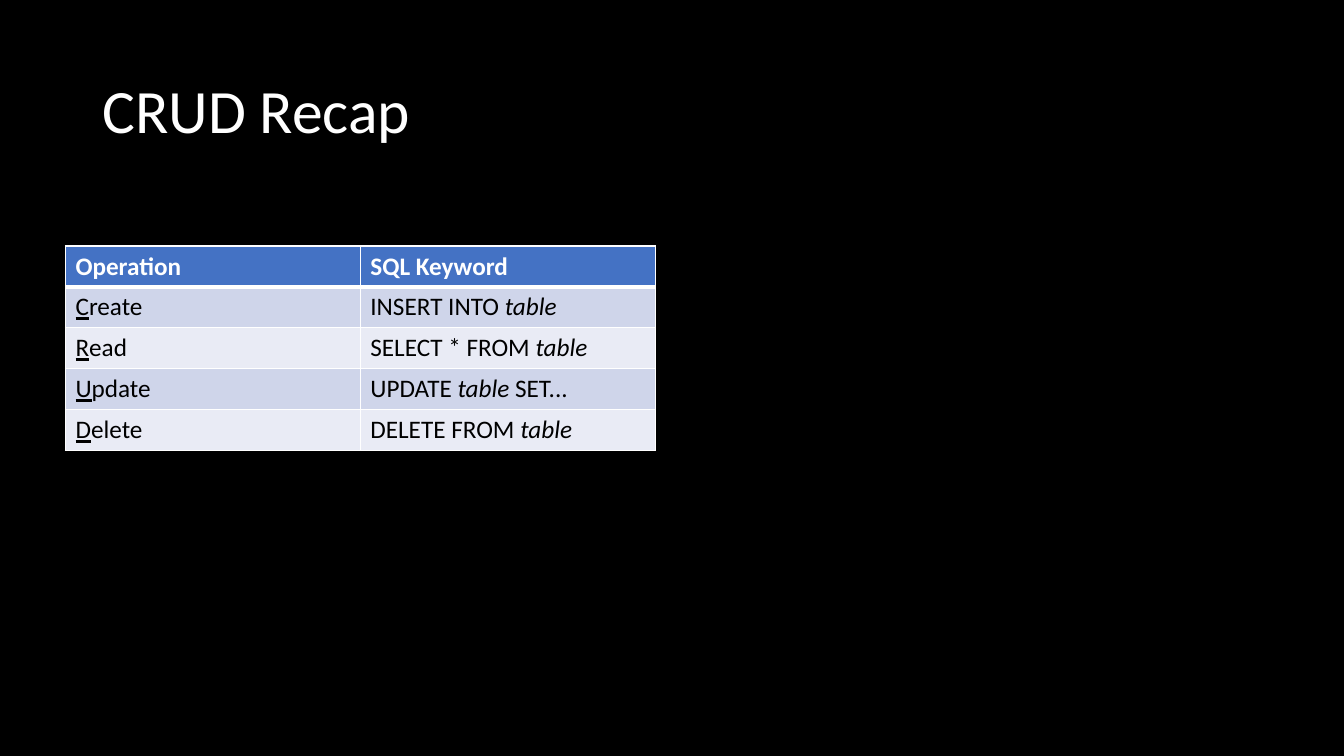
from lxml import etree
from pptx import Presentation
from pptx import util as u
from pptx.dml.color import RGBColor
from pptx.enum import text
from pptx.oxml.ns import qn

COLORS = {
    "background": "000000",
    "light": "FFFFFF",
    "dark": "000000",
    "header": "4472C4",
    "odd_row": "CFD5EA",
    "even_row": "E9EBF5",
}


class RecapSlide:
    font = "Calibri"
    title_size = 44
    table_size = 18

    def __init__(self, deck):
        self.slide = deck.slides.add_slide(deck.slide_layouts[6])
        background = self.slide.background.fill
        background.solid()
        background.fore_color.rgb = self.color("background")

    def color(self, name):
        return RGBColor.from_string(COLORS[name])

    def run(self, paragraph, words, size, color, bold=False, italic=None, underline=None):
        run = paragraph.add_run()
        run.text = words
        font = run.font
        font.name, font.size, font.bold = self.font, u.Pt(size), bold
        font.italic, font.underline = italic, underline
        font.color.rgb = self.color(color)

    def title(self, words, left, top, width, height):
        frame = self.slide.shapes.add_textbox(left, top, width, height).text_frame
        frame.word_wrap = True
        frame.vertical_anchor = text.MSO_ANCHOR.MIDDLE
        heading = frame.paragraphs[0]
        heading.line_spacing = 0.9
        self.run(heading, words, self.title_size, "light")

    def border(self, cell, side, points):
        properties = cell._tc.get_or_add_tcPr()
        line = etree.SubElement(properties, qn("a:ln" + side), w=str(u.Pt(points)))
        fill = etree.SubElement(line, qn("a:solidFill"))
        etree.SubElement(fill, qn("a:srgbClr"), val=COLORS["light"])

    def cell(self, cell, pieces, row):
        # Borders come before the fill; the rule under the header is thicker
        widths = {"L": 1, "R": 1, "T": 3 if row == 1 else 1, "B": 3 if row == 0 else 1}
        for side, points in widths.items():
            self.border(cell, side, points)
        header = row == 0
        fill_name = "header" if header else "odd_row" if row % 2 else "even_row"
        cell.fill.solid()
        cell.fill.fore_color.rgb = self.color(fill_name)
        for words, style in pieces:
            self.run(cell.text_frame.paragraphs[0], words, self.table_size,
                     "light" if header else "dark", bold=header, **style)

    def table(self, rows, left, top, width, row_height):
        frame = self.slide.shapes.add_table(
            len(rows), len(rows[0]), left, top, width, row_height * len(rows))
        for row, cells in enumerate(rows):
            frame.table.rows[row].height = row_height
            for column, pieces in enumerate(cells):
                self.cell(frame.table.cell(row, column), pieces, row)


PLAIN, ITALIC, UNDERLINED = {}, {"italic": True}, {"underline": True}


def operation(name):
    """Underline the initial that forms the acronym."""
    return [(name[0], UNDERLINED), (name[1:], PLAIN)]


def statement(before, after=""):
    """Set the table placeholder in italics."""
    pieces = [(before, PLAIN), ("table", ITALIC)]
    return pieces + [(after, PLAIN)] if after else pieces


deck = Presentation()
deck.slide_width, deck.slide_height = u.Cm(33.87), u.Cm(19.05)
recap = RecapSlide(deck)

# Title
recap.title("CRUD Recap", u.Cm(2.33), u.Cm(1.01), u.Cm(29.21), u.Cm(3.68))

# Operations and their SQL keywords
headings = [[("Operation", PLAIN)], [("SQL Keyword", PLAIN)]]
operations = [
    [operation("Create"), statement("INSERT INTO ")],
    [operation("Read"), statement("SELECT * FROM ")],
    [operation("Update"), statement("UPDATE ", " SET...")],
    [operation("Delete"), statement("DELETE FROM ")],
]
recap.table([headings] + operations, u.Cm(1.65), u.Cm(6.2), u.Cm(14.86), u.Cm(1.03))

deck.save("out.pptx")
